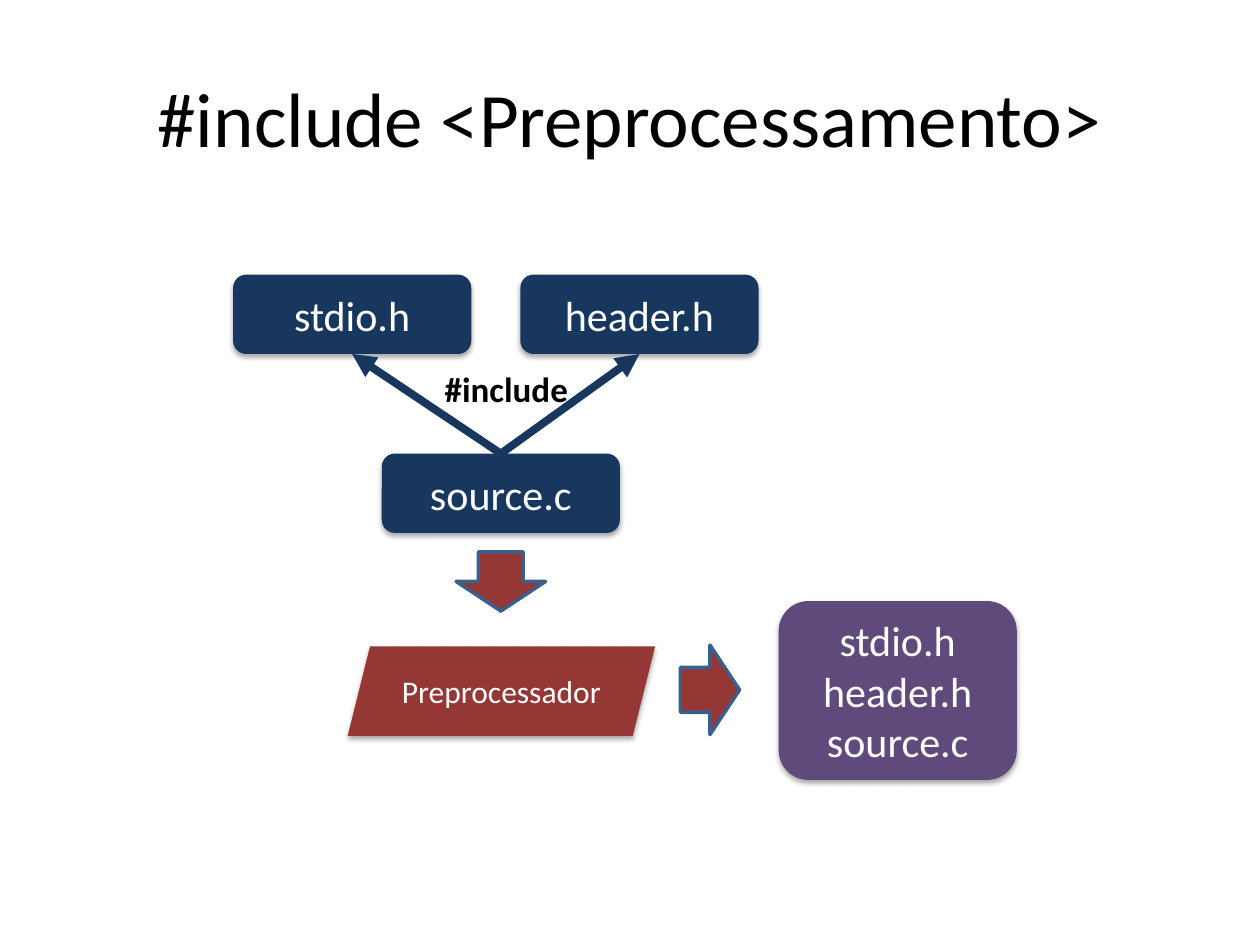
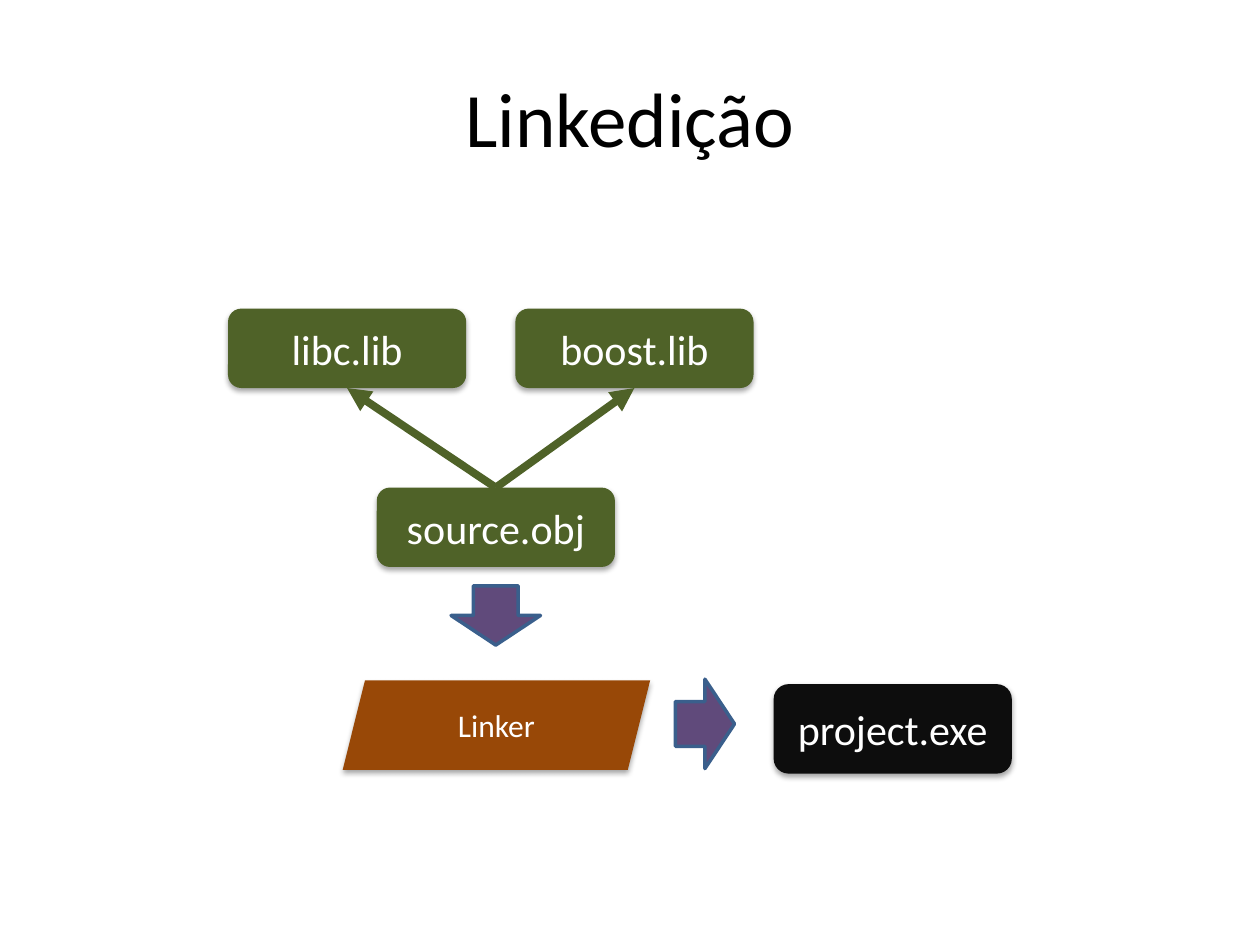
from pptx import Presentation
from pptx.dml.color import RGBColor
from pptx.enum import shapes, text
from pptx.oxml import parse_xml
from pptx.oxml.ns import nsdecls, qn
from pptx.util import Inches, Pt
from lxml import etree

FONT = "Calibri"
ARROW_EDGE = "3A5F8C"
BOX_WIDTH, BOX_HEIGHT = 1.89, 0.63
SHADOW = (
    f'<a:effectLst {nsdecls("a")}>'
    '<a:outerShdw blurRad="39370" dist="22860" dir="5400000" rotWithShape="0">'
    '<a:srgbClr val="000000"><a:alpha val="35000"/></a:srgbClr>'
    '</a:outerShdw></a:effectLst>'
)

SLIDES = [
    dict(title="#include <Preprocessamento>", left=1.85, top=2.18,
         inputs=["stdio.h", "header.h"], source="source.c", input_color="17375E",
         link_label="#include", arrow_color="953735",
         tool="Preprocessador", tool_color="953735",
         result=["stdio.h", "header.h", "source.c"], result_color="604A7B",
         result_top=4.77, result_height=1.42),
    dict(title="Linkedição", left=1.81, top=2.45,
         inputs=["libc.lib", "boost.lib"], source="source.obj", input_color="4F6228",
         link_label=None, arrow_color="604A7B",
         tool="Linker", tool_color="984807",
         result=["project.exe"], result_color="0D0D0D",
         result_top=5.43, result_height=0.71),
]


def rgb(value):
    return RGBColor.from_string(value)


def add_block(page, kind, left, top, width, height, color, lines=(), size=24):
    block = page.shapes.add_shape(
        kind, Inches(left), Inches(top), Inches(width), Inches(height))
    block.shadow.inherit = False
    block.fill.solid()
    block.fill.fore_color.rgb = rgb(color)
    if not lines:
        block.line.color.rgb = rgb(ARROW_EDGE)
        block.line.width = Pt(2)
        return block
    block.line.fill.background()
    properties = block._element.spPr
    properties.replace(properties.find(qn("a:effectLst")), parse_xml(SHADOW))
    frame = block.text_frame
    frame.vertical_anchor = text.MSO_ANCHOR.MIDDLE
    frame.text = "\n".join(lines)
    for para in frame.paragraphs:
        para.alignment = text.PP_ALIGN.CENTER
        para.font.name = FONT
        para.font.size = Pt(size)
        para.font.color.rgb = rgb("FFFFFF")
    return block


deck = Presentation()
deck.slide_width, deck.slide_height = Inches(10), Inches(7.5)
ROUNDED = shapes.MSO_SHAPE.ROUNDED_RECTANGLE
DOWN_ARROW = shapes.MSO_SHAPE.DOWN_ARROW

for stage in SLIDES:
    page = deck.slides.add_slide(deck.slide_layouts[5])
    left, top, color = stage["left"], stage["top"], stage["input_color"]

    title = page.shapes.title
    title.left, title.top = Inches(0.5), Inches(0.3)
    title.width, title.height = Inches(9), Inches(1.25)
    title.text_frame.text = stage["title"]
    title.text_frame.vertical_anchor = text.MSO_ANCHOR.MIDDLE
    heading = title.text_frame.paragraphs[0]
    heading.alignment = text.PP_ALIGN.CENTER
    heading.font.name = FONT
    heading.font.size = Pt(44)
    heading.font.color.rgb = rgb("000000")

    input_boxes = [
        add_block(page, ROUNDED, left + 2.28 * column, top,
                  BOX_WIDTH, BOX_HEIGHT, color, [name])
        for column, name in enumerate(stage["inputs"])
    ]
    source_box = add_block(page, ROUNDED, left + 1.18, top + 1.42,
                           BOX_WIDTH, BOX_HEIGHT, color, [stage["source"]])

    for input_box in input_boxes:
        link = page.shapes.add_connector(shapes.MSO_CONNECTOR.STRAIGHT, 0, 0, 0, 0)
        link.begin_connect(source_box, 0)
        link.end_connect(input_box, 2)
        link.line.color.rgb = rgb(color)
        link.line.width = Pt(4.5)
        etree.SubElement(link.line._get_or_add_ln(), qn("a:tailEnd"), type="triangle")
        etree.SubElement(link._element.spPr, qn("a:effectLst"))

    if stage["link_label"]:
        label = page.shapes.add_textbox(
            Inches(left + 1.58), Inches(top + 0.69), Inches(1.19), Inches(0.44))
        label.text_frame.word_wrap = False
        label.text_frame.auto_size = text.MSO_AUTO_SIZE.SHAPE_TO_FIT_TEXT
        para = label.text_frame.paragraphs[0]
        para.text = stage["link_label"]
        para.font.name = FONT
        para.font.size = Pt(20)
        para.font.bold = True
        para.font.color.rgb = rgb("000000")

    for across, down, turn in [(1.77, 2.2, 0), (3.43, 3.06, 270)]:
        arrow = add_block(page, DOWN_ARROW, left + across, top + down,
                          0.71, 0.47, stage["arrow_color"])
        arrow.rotation = turn

    add_block(page, shapes.MSO_SHAPE.PARALLELOGRAM, left + 0.91, top + 2.95,
              2.44, 0.71, stage["tool_color"], [stage["tool"]], 18)
    add_block(page, ROUNDED, left + 4.33, stage["result_top"], BOX_WIDTH,
              stage["result_height"], stage["result_color"], stage["result"])

deck.save("out.pptx")
